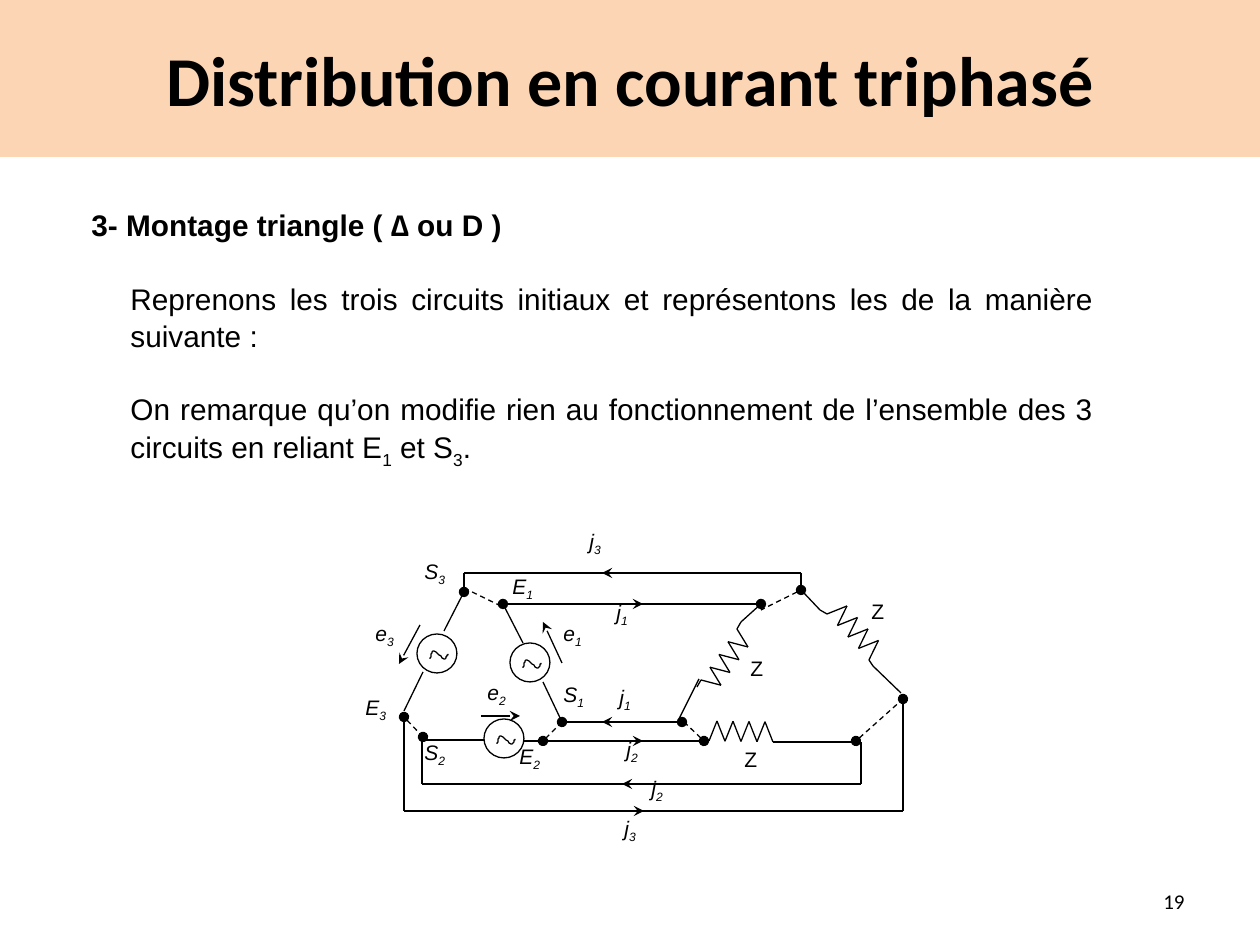
from dataclasses import dataclass
from itertools import pairwise

from lxml.etree import SubElement
from pptx import Presentation
from pptx.dml.color import RGBColor
from pptx.enum.dml import MSO_LINE
from pptx.enum.shapes import MSO_CONNECTOR, MSO_SHAPE
from pptx.enum.text import MSO_ANCHOR, PP_ALIGN
from pptx.oxml.ns import qn
from pptx.util import Pt

PX = 914400 / 126


@dataclass(frozen=True)
class Theme:
    ink: RGBColor = RGBColor(0x00, 0x00, 0x00)
    paper: RGBColor = RGBColor(0xFF, 0xFF, 0xFF)
    band: RGBColor = RGBColor(0xFC, 0xD5, 0xB5)
    heading_font: str = "Calibri"
    body_font: str = "Arial"
    title_size: int = 40
    body_size: int = 17
    label_size: int = 12
    line_width: float = 0.75


THEME = Theme()

BODY = [
    [("3- Montage triangle ( ∆ ou D )", False)],
    [("Reprenons les trois circuits initiaux et représentons les de la manière suivante :", False)],
    [("On remarque qu’on modifie rien au fonctionnement de l’ensemble des 3 circuits en reliant E", False),
     ("1", True), (" et S", False), ("3", True), (".", False)],
]

# Polylines of plain wire
WIRES = [
    [(464, 594), (464, 573), (801, 573), (801, 593)],
    [(464, 592), (444, 631)],
    [(423, 672), (404, 711)],
    [(503, 604), (523, 643)],
    [(803, 592), (820, 610), (827, 614)],
    [(869, 660), (873, 666), (901, 693)],
    [(761, 604), (741, 622), (737, 629)],
    [(701, 680), (697, 687)],
    [(699, 679), (679, 719)],
    [(423, 740), (484, 740)],
    [(523, 741), (702, 741), (709, 741)],
    [(773, 742), (781, 742), (861, 742), (861, 784), (422, 784), (422, 741)],
    [(404, 713), (404, 811), (903, 811), (903, 696)],
]

# Wires that carry connection dots: start, end, head, tail
DOTTED_WIRES = [
    ((503, 604), (761, 604), "oval", "oval"),
    ((464, 592), (462, 596), "oval", None),
    ((543, 682), (562, 722), None, "oval"),
    ((563, 722), (682, 722), None, "oval"),
]

# Dashed links between circuits: start, end, head, tail
LINKS = [
    ((404, 717), (423, 737), "oval", "oval"),
    ((856, 741), (903, 699), "oval", "oval"),
    ((464, 588), (503, 607), None, None),
    ((801, 590), (761, 610), "oval", None),
    ((562, 722), (543, 741), None, "oval"),
    ((684, 722), (704, 741), None, "oval"),
]

# Current and voltage arrows
ARROWS = [
    ((662, 573), (602, 573)), ((582, 604), (643, 604)),
    ((662, 722), (602, 722)), ((563, 741), (643, 741)),
    ((721, 784), (622, 784)), ((564, 811), (644, 811)),
    ((481, 716), (520, 716)), ((420, 625), (399, 664)),
    ((562, 663), (543, 622)),
]

SOURCES = [(417, 634), (510, 643), (484, 719)]

# Resistors: first base, last base, offset of a tooth from its base
RESISTORS = [
    ((827, 614), (869, 660), (20, -8)),
    ((737, 629), (701, 680), (11, 18)),
    ((709, 741), (773, 742), (8, -20)),
]

LABELS = [
    (577, 522, "j", "3"), (604, 593, "j", "1"), (607, 678, "j", "1"),
    (614, 730, "j", "2"), (639, 769, "j", "2"), (612, 809, "j", "3"),
    (500, 567, "E", "1"), (507, 737, "E", "2"), (353, 688, "E", "3"),
    (551, 675, "S", "1"), (412, 733, "S", "2"), (412, 552, "S", "3"),
    (551, 614, "e", "1"), (475, 673, "e", "2"), (363, 614, "e", "3"),
    (738, 649, "Z", ""), (859, 592, "Z", ""), (732, 740, "Z", ""),
]


def emu(*lengths):
    return [round(length * PX) for length in lengths]


def apply(target, values):
    for name, value in values.items():
        setattr(target, name, value)


def add_run(paragraph, text, size, font, subscript=False, **style):
    run = paragraph.add_run()
    run.text = text
    apply(run.font, {"size": Pt(size), "name": font, **style})
    run.font.color.rgb = THEME.ink
    if subscript:
        run.font._element.set("baseline", "-25000")


def add_text_box(shapes, *box):
    frame = shapes.add_textbox(*emu(*box)).text_frame
    frame.word_wrap = True
    return frame


def add_line(shapes, start, end, head=None, tail=None, dashed=False):
    line = shapes.add_connector(MSO_CONNECTOR.STRAIGHT, *emu(*start, *end))
    line.line.color.rgb = THEME.ink
    line.line.width = Pt(THEME.line_width)
    if dashed:
        line.line.dash_style = MSO_LINE.DASH
    properties = line._element.spPr
    for tag, kind in (("a:headEnd", head), ("a:tailEnd", tail)):
        if kind:
            SubElement(properties.find(qn("a:ln")), qn(tag), type=kind)
    SubElement(properties, qn("a:effectLst"))


def add_polyline(shapes, points):
    for start, end in pairwise(points):
        add_line(shapes, start, end)


def add_resistor(shapes, first, last, tooth, teeth=4):
    step = [(b - a) / teeth for a, b in zip(first, last)]
    points = [first]
    for n in range(teeth):
        base = [a + n * s for a, s in zip(first, step)]
        points.append([b + t for b, t in zip(base, tooth)])
        points.append([b + s for b, s in zip(base, step)])
    add_polyline(shapes, points)


def bezier(a, b, c, d, steps=8):
    for n in range(1, steps + 1):
        t = n / steps
        u = 1 - t
        yield tuple(u**3 * i + 3 * u * u * t * j + 3 * u * t * t * k + t**3 * m
                    for i, j, k, m in zip(a, b, c, d))


def add_source(shapes, x, y):
    circle = shapes.add_shape(MSO_SHAPE.OVAL, *emu(x, y, 40, 39))
    circle.fill.solid()
    circle.fill.fore_color.rgb = THEME.paper
    # Alternating-current wave inside the circle
    curve = [(0, 9), (1, 7), (1, 3), (3, 1), (6, 0), (12, 9), (15, 9),
             (16, 9), (17, 5), (18, 4)]
    curve = [(x + 13 + dx, y + 16 + dy) for dx, dy in curve]
    builder = shapes.build_freeform(*curve[0], scale=PX)
    for n in range(0, 9, 3):
        builder.add_line_segments(list(bezier(*curve[n:n + 4])), close=False)
    wave = builder.convert_to_shape()
    wave.fill.background()
    for part in (circle, wave):
        part.shadow.inherit = False
        part.line.color.rgb = THEME.ink
        part.line.width = Pt(THEME.line_width)


def add_label(shapes, x, y, letter, index):
    paragraph = add_text_box(shapes, x, y, 79 if index else 59, 59).paragraphs[0]
    style = {"size": THEME.label_size, "font": THEME.body_font, "italic": bool(index)}
    add_run(paragraph, letter, **style)
    if index:
        add_run(paragraph, index, subscript=True, **style)


def add_title(shapes):
    band = shapes.add_shape(MSO_SHAPE.RECTANGLE, *emu(0, 0, 1260, 157))
    band.shadow.inherit = False
    band.fill.solid()
    band.fill.fore_color.rgb = THEME.band
    band.line.fill.background()
    band.text_frame.vertical_anchor = MSO_ANCHOR.MIDDLE
    heading = band.text_frame.paragraphs[0]
    heading.alignment = PP_ALIGN.CENTER
    add_run(heading, "Distribution en courant triphasé", THEME.title_size,
            THEME.heading_font, bold=True)


def add_body(shapes):
    frame = add_text_box(shapes, 79, 199, 1027, 338)
    for n, runs in enumerate(BODY):
        paragraph = frame.add_paragraph() if n else frame.paragraphs[0]
        apply(paragraph, {"alignment": PP_ALIGN.JUSTIFY, "line_spacing": 1.05})
        if n:
            paragraph.space_before = Pt(20.5)
            paragraph._p.get_or_add_pPr().set("marL", str(*emu(39)))
        for text, subscript in runs:
            add_run(paragraph, text, THEME.body_size, THEME.body_font,
                    subscript, bold=n == 0)


def add_circuit(shapes):
    for points in WIRES:
        add_polyline(shapes, points)
    for wire in DOTTED_WIRES:
        add_line(shapes, *wire)
    for link in LINKS:
        add_line(shapes, *link, dashed=True)
    for resistor in RESISTORS:
        add_resistor(shapes, *resistor)
    for corner in SOURCES:
        add_source(shapes, *corner)
    for arrow in ARROWS:
        add_line(shapes, *arrow, tail="stealth")
    for label in LABELS:
        add_label(shapes, *label)


def add_page_number(shapes):
    frame = add_text_box(shapes, 903, 876, 294, 50)
    frame.vertical_anchor = MSO_ANCHOR.MIDDLE
    frame.paragraphs[0].alignment = PP_ALIGN.RIGHT
    add_run(frame.paragraphs[0], "19", THEME.label_size, THEME.heading_font)


def main():
    deck = Presentation()
    deck.slide_width, deck.slide_height = emu(1260, 945)
    shapes = deck.slides.add_slide(deck.slide_layouts[6]).shapes
    add_title(shapes)
    add_body(shapes)
    add_circuit(shapes.add_group_shape().shapes)
    add_page_number(shapes)
    deck.save("out.pptx")


if __name__ == "__main__":
    main()
